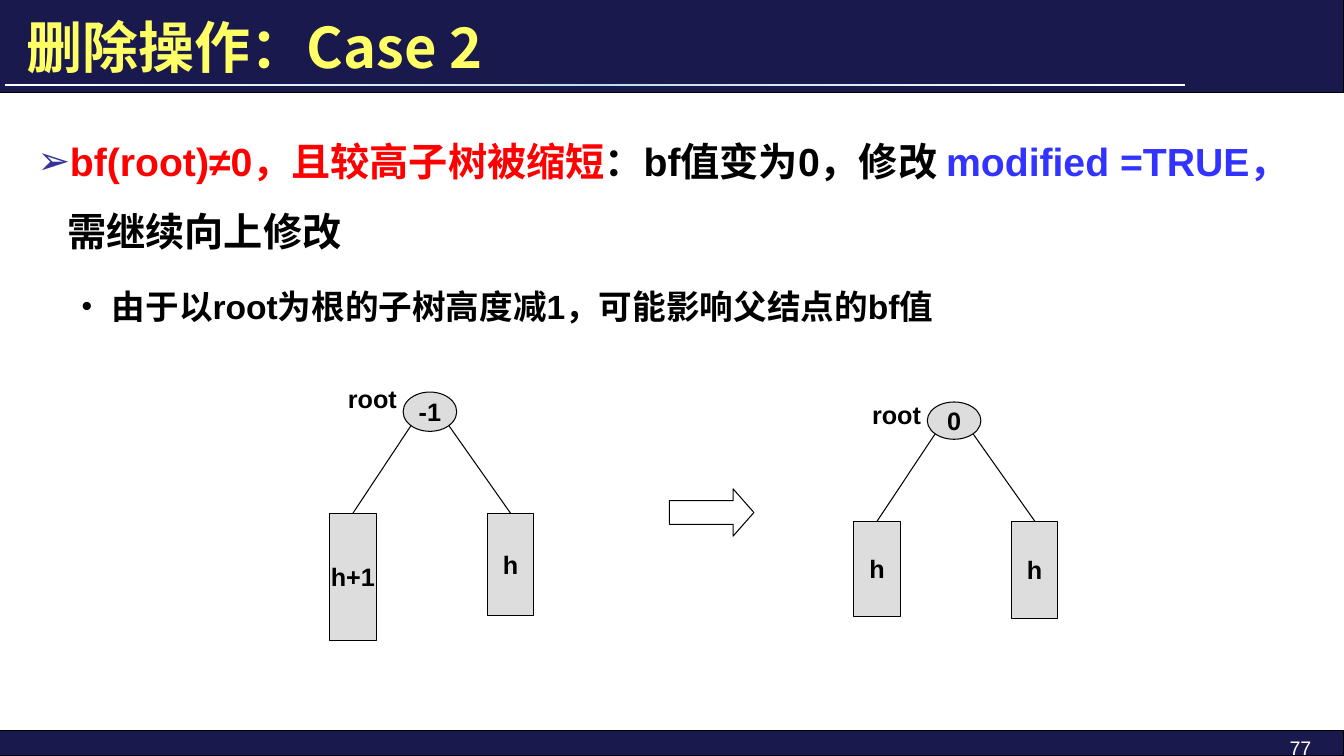
from copy import deepcopy

from lxml import etree
from pptx import Presentation
from pptx.dml.color import RGBColor
from pptx.enum.shapes import MSO_CONNECTOR, MSO_SHAPE
from pptx.enum.text import MSO_ANCHOR, PP_ALIGN
from pptx.oxml.ns import qn
from pptx.util import Cm, Pt

RECTANGLE, ELLIPSE = MSO_SHAPE.RECTANGLE, MSO_SHAPE.OVAL
RIGHT_ARROW = MSO_SHAPE.RIGHT_ARROW
STRAIGHT = MSO_CONNECTOR.STRAIGHT
MIDDLE, TOP = MSO_ANCHOR.MIDDLE, MSO_ANCHOR.TOP
LEFT, CENTER, RIGHT = PP_ALIGN.LEFT, PP_ALIGN.CENTER, PP_ALIGN.RIGHT

COLORS = {
    "navy": "19194D", "black": "000000", "white": "FFFFFF", "pale": "BBE0E3",
    "yellow": "FFFF66", "red": "FF0000", "blue": "3333FF",
    "bullet": "333399", "node": "DDDDDD",
}
LATIN, CHINESE = "Arial", "Noto Sans CJK SC"
SLIDE_WIDTH, SLIDE_HEIGHT = 33.87, 19.05

# Tree geometry in centimetres, horizontal offsets from the root's left edge
ROOT_WIDTH, BOX_WIDTH = 1.35, 1.17
BOX_OFFSETS = (-1.85, 2.12)
LABEL_OFFSET = -1.74
DIAGONAL = 0.5 ** 0.5


def color(name):
    return RGBColor.from_string(COLORS[name])


def format_run(run, size, color_name, bold=True, font=LATIN):
    run.font.size = Pt(size)
    run.font.bold = bold
    run.font.name = font
    run.font.color.rgb = color(color_name)
    east_asian = etree.SubElement(run._r.get_or_add_rPr(), qn("a:ea"))
    east_asian.set("typeface", CHINESE)


def add_shape(slide, kind, left, top, width, height, fill, text=""):
    shape = slide.shapes.add_shape(kind, Cm(left), Cm(top), Cm(width), Cm(height))
    shape.shadow.inherit = False
    shape.fill.solid()
    shape.fill.fore_color.rgb = color(fill)
    shape.line.color.rgb = color("black")
    shape.line.width = Pt(0.75)
    if text:
        frame = shape.text_frame
        frame.word_wrap = False
        frame.vertical_anchor = MIDDLE
        frame.text = text
        frame.paragraphs[0].alignment = CENTER
        format_run(frame.paragraphs[0].runs[0], 18, "black")
    return shape


def add_text_box(slide, left, top, width, height, anchor=TOP):
    box = slide.shapes.add_textbox(Cm(left), Cm(top), Cm(width), Cm(height))
    box.text_frame.word_wrap = True
    box.text_frame.vertical_anchor = anchor
    return box.text_frame


def add_label(slide, text, place, size, color_name, alignment=LEFT,
              bold=True, font=LATIN, anchor=TOP):
    frame = add_text_box(slide, *place, anchor)
    frame.text = text
    frame.paragraphs[0].alignment = alignment
    format_run(frame.paragraphs[0].runs[0], size, color_name, bold, font)


def add_title_rule(slide):
    rule = add_shape(slide, RECTANGLE, 0.13, 2.11, 29.73, 0.05, "white")
    rule.line.fill.background()
    rule.fill.gradient()
    rule.fill.gradient_angle = 0
    stop_list = rule._element.spPr.find(".//" + qn("a:gsLst"))
    stop_list.insert(1, deepcopy(stop_list[0]))
    stops = ((0, "white"), (0.5, "pale"), (1, "white"))
    for stop, (position, name) in zip(rule.fill.gradient_stops, stops):
        stop.position = position
        stop.color.rgb = color(name)


def set_bullet(paragraph, character, color_name, percent, indent):
    properties = paragraph._p.get_or_add_pPr()
    properties.set("marL", str(Cm(indent)))
    properties.set("indent", str(-Cm(0.76)))
    bullet_color = etree.SubElement(properties, qn("a:buClr"))
    etree.SubElement(bullet_color, qn("a:srgbClr")).set("val", COLORS[color_name])
    etree.SubElement(properties, qn("a:buSzPct")).set("val", str(percent * 1000))
    etree.SubElement(properties, qn("a:buFont")).set("typeface", LATIN)
    etree.SubElement(properties, qn("a:buChar")).set("char", character)


def write_bullet(paragraph, bullet, size, pieces):
    set_bullet(paragraph, *bullet)
    paragraph.line_spacing = 1.5
    for text, color_name in pieces:
        run = paragraph.add_run()
        run.text = text
        format_run(run, size, color_name)


def add_edge(slide, start_x, start_y, box):
    edge = slide.shapes.add_connector(
        STRAIGHT, Cm(start_x), Cm(start_y), Cm(start_x), Cm(start_y))
    edge.end_connect(box, 0)
    edge.line.color.rgb = color("black")
    edge.line.width = Pt(0.75)
    etree.SubElement(edge._element.spPr, qn("a:effectLst"))


def add_tree(slide, left, top, root_height, balance, label_top, box_top, subtrees):
    add_shape(slide, ELLIPSE, left, top, ROOT_WIDTH, root_height, "node", balance)
    center_x = left + ROOT_WIDTH / 2
    edge_y = top + root_height / 2 * (1 + DIAGONAL)
    for side, offset, (text, height) in zip((-1, 1), BOX_OFFSETS, subtrees):
        box = add_shape(slide, RECTANGLE, left + offset, box_top,
                        BOX_WIDTH, height, "node", text)
        add_edge(slide, center_x + side * ROOT_WIDTH / 2 * DIAGONAL, edge_y, box)
    add_label(slide, "root", (left + LABEL_OFFSET, label_top, 1.93, 1.02),
              18, "black", CENTER)


def main():
    presentation = Presentation()
    presentation.slide_width = Cm(SLIDE_WIDTH)
    presentation.slide_height = Cm(SLIDE_HEIGHT)
    slide = presentation.slides.add_slide(presentation.slide_layouts[6])

    # Header and footer bands
    add_shape(slide, RECTANGLE, 0, 18.41, SLIDE_WIDTH, 0.64, "navy")
    add_shape(slide, RECTANGLE, 0, 0, SLIDE_WIDTH, 2.34, "navy")
    add_title_rule(slide)
    add_label(slide, "77", (28.22, 18.41, 5.08, 0.64), 14, "white", RIGHT, bold=False)
    add_label(slide, "删除操作：Case 2", (0.43, 0.28, 24.74, 1.78), 40, "yellow",
              font=CHINESE, anchor=MIDDLE)

    # Explanation
    body = add_text_box(slide, 0.69, 2.74, 32.31, 5.97)
    write_bullet(body.paragraphs[0], ("➢", "bullet", 100, 0.76), 28, (
        ("bf(root)≠0，且较高子树被缩短", "red"),
        ("：bf值变为0，修改 ", "black"),
        ("modified =TRUE，", "blue"),
        ("需继续向上修改", "black"),
    ))
    detail = body.add_paragraph()
    detail.level = 1
    write_bullet(detail, ("•", "black", 90, 1.88), 24, (
        ("由于以root为根的子树高度减1，可能影响父结点的bf值", "black"),
    ))
    detail.space_before = Pt(8)

    # Trees before and after the deletion
    add_tree(slide, 10.16, 9.88, 0.99, "-1", 9.53, 12.93, (("h+1", 3.2), ("h", 2.59)))
    arrow = add_shape(slide, RIGHT_ARROW, 16.87, 12.32, 2.13, 1.19, "white")
    arrow.adjustments[1] = 0.44
    add_tree(slide, 23.37, 10.13, 0.94, "0", 9.93, 13.13, (("h", 2.41), ("h", 2.46)))

    presentation.save("out.pptx")


if __name__ == "__main__":
    main()
